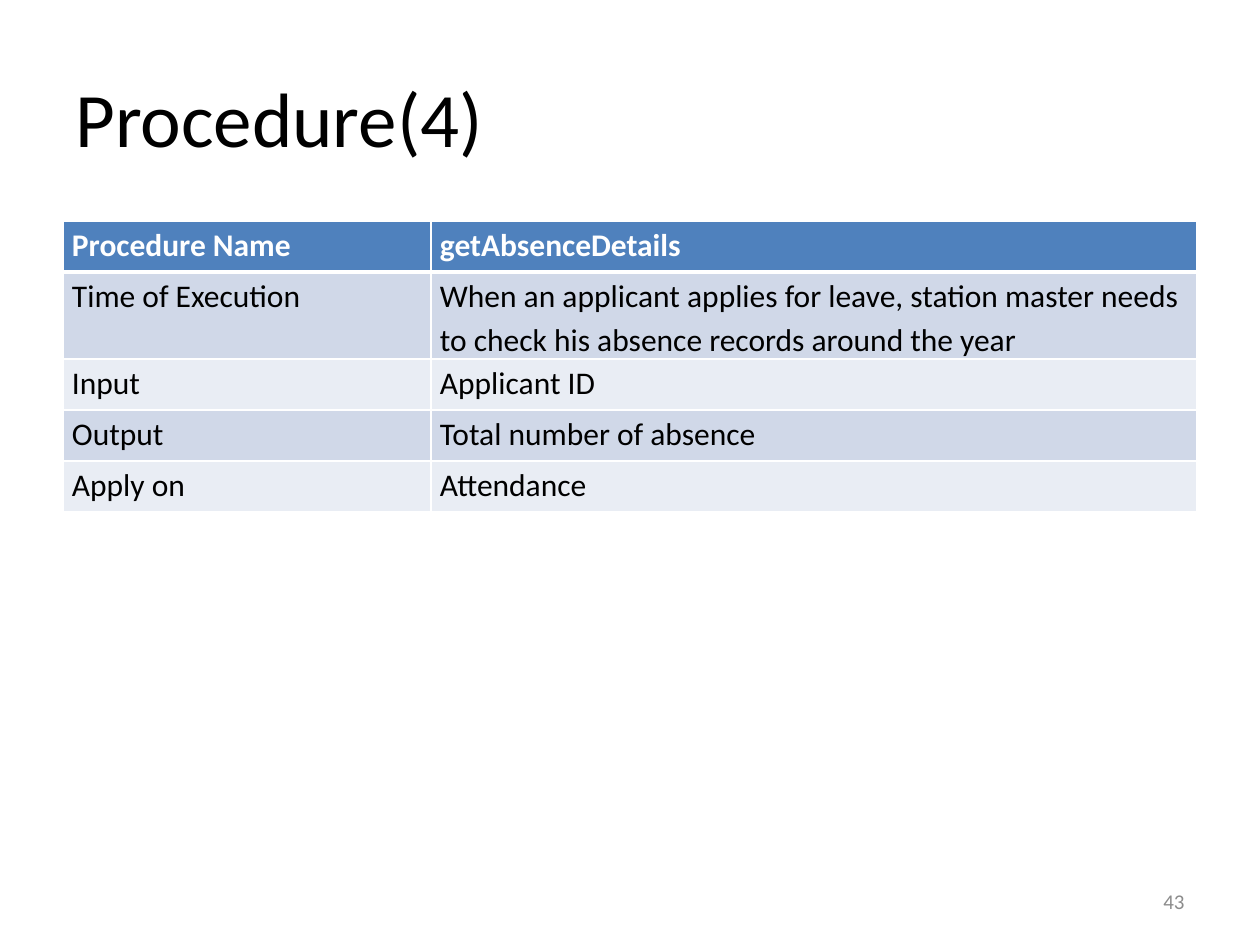
from lxml.etree import SubElement
from pptx import Presentation
from pptx.dml.color import RGBColor
from pptx.enum.text import MSO_ANCHOR as Anchor, PP_ALIGN as Align
from pptx.oxml.ns import qn
from pptx.util import Pt

PX = 914400 // 126
WHITE, BLACK, GREY = "FFFFFF", "000000", "8C8C8C"
HEADER_FILL, BAND_FILLS = "4F81BD", ("D0D8E8", "E9EDF4")
ROWS = [
    ("Procedure Name", "getAbsenceDetails"),
    ("Time of Execution", "When an applicant applies for leave, station master needs "
                          "to check his absence records around the year"),
    ("Input", "Applicant ID"),
    ("Output", "Total number of absence"),
    ("Apply on", "Attendance"),
]
COLUMN_WIDTHS = (368, 766)
ROW_HEIGHT = 51


def write(paragraph, text, size, color, bold=False):
    paragraph.text = text
    for name, value in {"name": "Calibri", "size": Pt(size), "bold": bold}.items():
        setattr(paragraph.font, name, value)
    paragraph.font.color.rgb = RGBColor.from_string(color)


def add_border(cell, side, points):
    """Draw a white border on one side; call before filling the cell."""
    line = SubElement(cell._tc.get_or_add_tcPr(), qn(f"a:ln{side}"), w=str(Pt(points)))
    SubElement(SubElement(line, qn("a:solidFill")), qn("a:srgbClr"), val=WHITE)


presentation = Presentation()
presentation.slide_width, presentation.slide_height = 1260 * PX, 945 * PX
slide = presentation.slides.add_slide(presentation.slide_layouts[6])

for text, box, size, color, align in (
    ("Procedure(4)", (63, 38, 1134, 157), 44, BLACK, Align.LEFT),
    ("43", (903, 876, 294, 50), 12, GREY, Align.RIGHT),
):
    frame = slide.shapes.add_textbox(*(length * PX for length in box)).text_frame
    frame.word_wrap = True
    frame.vertical_anchor = Anchor.MIDDLE
    frame.paragraphs[0].alignment = align
    write(frame.paragraphs[0], text, size, color)

table = slide.shapes.add_table(
    len(ROWS), len(COLUMN_WIDTHS), 63 * PX, 221 * PX,
    sum(COLUMN_WIDTHS) * PX, len(ROWS) * ROW_HEIGHT * PX,
).table
for column, width in zip(table.columns, COLUMN_WIDTHS):
    column.width = width * PX

cell_format = {"margin_left": 9 * PX, "margin_right": 9 * PX,
               "margin_top": 0, "margin_bottom": 0}
for row_index, texts in enumerate(ROWS):
    table.rows[row_index].height = ROW_HEIGHT * PX
    is_header = row_index == 0
    fill = HEADER_FILL if is_header else BAND_FILLS[(row_index - 1) % 2]
    for column_index, text in enumerate(texts):
        cell = table.cell(row_index, column_index)
        for name, value in cell_format.items():
            setattr(cell, name, value)
        for side in "LRTB":
            thick = (side == "B" and is_header) or (side == "T" and row_index == 1)
            add_border(cell, side, 3 if thick else 1)
        cell.fill.solid()
        cell.fill.fore_color.rgb = RGBColor.from_string(fill)
        paragraph = cell.text_frame.paragraphs[0]
        paragraph.line_spacing = 1.15
        write(paragraph, text, 18, WHITE if is_header else BLACK, bold=is_header)

presentation.save("out.pptx")
